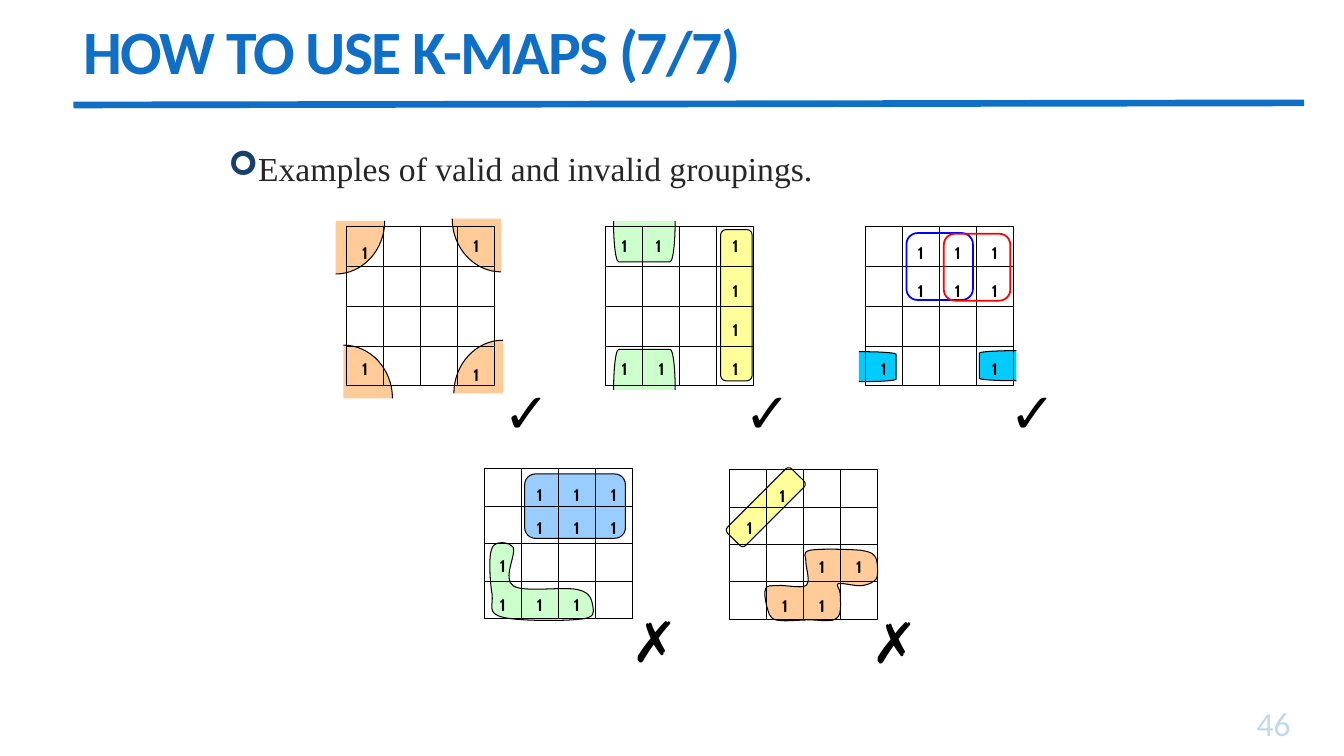
import copy
from lxml import etree
from pptx import Presentation
from pptx import util as u
from pptx.dml.color import RGBColor
from pptx.enum import shapes, text
from pptx.oxml import ns

SHAPE = shapes.MSO_SHAPE
MAP_W = 105.8

L_BLOB = [(68.4, 107.3),
          (57.6, 108.7), (23, 108.7), (13, 105.8),
          (2.2, 103), (6.5, 97.9), (5.8, 90),
          (4.3, 81.4), (2.9, 61.9), (5.8, 56.2),
          (7.9, 51.1), (18, 51.8), (20.9, 56.2),
          (23, 61.2), (13, 78.5), (20.9, 83.5),
          (28.8, 88.6), (58.3, 83.5), (67.7, 86.4),
          (77, 88.6), (77, 95), (77.8, 98.6),
          (78.5, 102.2), (79.2, 106.6), (68.4, 107.3)]
S_BLOB = [(94.3, 57.6),
          (86.4, 56.9), (64.1, 56.2), (57.6, 57.6),
          (51.1, 59), (55.4, 62.6), (54.7, 66.2),
          (54.7, 70.6), (58.3, 79.9), (54.7, 82.8),
          (51.1, 85), (38.9, 82.1), (34.6, 82.8),
          (29.5, 82.8), (26.6, 82.8), (25.9, 85),
          (24.5, 87.8), (25.9, 93.6), (26.6, 97.2),
          (28.1, 101.5), (28.1, 105.8), (33.1, 107.3),
          (38.2, 108.7), (49.7, 107.3), (57.6, 107.3),
          (64.8, 107.3), (73.4, 109.4), (77, 105.8),
          (80.6, 103), (79.2, 92.9), (79.2, 88.6),
          (79.2, 85), (75.6, 82.1), (77.8, 81.4),
          (80.6, 80.6), (90.7, 83.5), (95, 82.8),
          (99.4, 82.1), (103, 80.6), (105.1, 77.8),
          (106.6, 74.2), (105.8, 67), (105.1, 64.1),
          (103.7, 60.5), (102.2, 59), (94.3, 57.6)]


def rgb(value):
    """Turn a hex string into a colour."""
    return RGBColor.from_string(value)


def sub(parent, tag, **attrs):
    """Add an XML child with the given attributes."""
    return etree.SubElement(parent, ns.qn(tag), attrs)


def paint(sp, fill=None, line="000000", width=0.75):
    """Set fill and outline, where no fill leaves the shape open."""
    sp.shadow.inherit = False
    if fill:
        sp.fill.solid()
        sp.fill.fore_color.rgb = rgb(fill)
    else:
        sp.fill.background()
    sp.line.color.rgb = rgb(line)
    sp.line.width = u.Pt(width)


def preset(s, kind, x, y, w, h, adj=None, rot=0, **style):
    """Place a painted preset shape."""
    sp = s.shapes.add_shape(kind, u.Pt(x), u.Pt(y), u.Pt(w), u.Pt(h))
    if adj is not None:
        sp.adjustments[0] = adj
    sp.rotation = rot
    paint(sp, **style)


def curved(s, x, y, knots, fill):
    """Place a closed outline of cubic curves and return its path element."""
    pts = [(u.Pt(x + kx), u.Pt(y + ky)) for kx, ky in knots]
    fb = s.shapes.build_freeform(*pts[0])
    fb.add_line_segments(pts[1:], close=True)
    sp = fb.convert_to_shape()
    paint(sp, fill)
    outline = sp._element.find(".//" + ns.qn("a:path"))
    lines = outline.findall(ns.qn("a:lnTo"))
    for i in range(0, len(lines) - 2, 3):
        curve = etree.Element(ns.qn("a:cubicBezTo"))
        lines[i].addprevious(curve)
        for ln in lines[i:i + 3]:
            curve.append(ln[0])
            outline.remove(ln)
    return outline


def quarter(s, x, y, w, h):
    """Place a filled quarter disc with only its arc drawn, its corner at x, y."""
    knots = [(0, h), (0.55 * w, h), (w, 0.55 * h), (w, 0), (0, 0)]
    wedge = curved(s, x, y, knots, "FFCC99")
    arc = copy.deepcopy(wedge)
    for tag in ("a:lnTo", "a:close"):
        arc.remove(arc.find(ns.qn(tag)))
    arc.set("fill", "none")
    wedge.set("stroke", "0")
    wedge.addprevious(arc)


def line(s, x1, y1, x2, y2, color="000000", width=0.75):
    """Draw a straight line."""
    c = s.shapes.add_connector(shapes.MSO_CONNECTOR.STRAIGHT,
                               u.Pt(x1), u.Pt(y1), u.Pt(x2), u.Pt(y2))
    c.line.color.rgb = rgb(color)
    c.line.width = u.Pt(width)
    sub(c._element.spPr, "a:effectLst")


def label(s, x, y, w, h, words, size, font, color="000000", bold=False,
          align="LEFT", anchor="TOP"):
    """Place one line of text and return its paragraph and run."""
    tf = s.shapes.add_textbox(u.Pt(x), u.Pt(y), u.Pt(w), u.Pt(h)).text_frame
    tf.word_wrap = True
    tf.vertical_anchor = text.MSO_ANCHOR[anchor]
    p = tf.paragraphs[0]
    p.alignment = text.PP_ALIGN[align]
    r = p.add_run()
    r.text = words
    r.font.size, r.font.name, r.font.bold = u.Pt(size), font, bold
    r.font.color.rgb = rgb(color)
    return p, r


def header(s, x, y, w, h):
    """Place the title and the rule under it."""
    line(s, x, y + 69, x + 879, y + 67.5, "0F6FC6", 4.75)
    p, r = label(s, x, y, w, h, "HOW TO USE K-MAPS (7/7)", 44, "Calibri", "0F6FC6",
                 True, anchor="MIDDLE")
    p.line_spacing = 0.85
    r._r.get_or_add_rPr().set("spc", "-120")


def bullet(s, x, y, w, h):
    """Place the bulleted statement."""
    p, r = label(s, x, y, w, h, "Examples of valid and invalid groupings.", 24,
                 "Times New Roman", "262626")
    pPr = p._p.get_or_add_pPr()
    pPr.set("marL", str(u.Pt(20)))
    pPr.set("indent", str(-u.Pt(20)))
    sub(sub(pPr, "a:buClr"), "a:srgbClr", val="17406D")
    sub(pPr, "a:buFont", typeface="Wingdings")
    sub(pPr, "a:buChar", char="➢")


def page_number(s, x, y, w, h):
    """Place the faint slide number."""
    p, r = label(s, x, y, w, h, "46", 24, "Calibri", "0F6FC6", align="RIGHT",
                 anchor="BOTTOM")
    sub(r._r.rPr.find(".//" + ns.qn("a:srgbClr")), "a:alpha", val="25000")


def kmap(s, x, y, h, ones, mark, mark_x, mark_y):
    """Draw a four by four map, its ones as (top, columns), and its verdict."""
    preset(s, SHAPE.RECTANGLE, x, y, MAP_W, h)
    for i in (1, 2, 3):
        line(s, x, y + i * h / 4, x + MAP_W, y + i * h / 4)
        line(s, x + i * MAP_W / 4, y, x + i * MAP_W / 4, y + h)
    for top, cols in ones:
        for col in cols:
            label(s, x + col * MAP_W / 4, y + top, MAP_W / 4, 22, "1", 12, "Cabin",
                  bold=True, align="CENTER")
    label(s, x + mark_x, y + mark_y, 40, 55.5, mark, 40, "Arial")


def corners_map(s, x, y, h):
    """Draw the valid map that groups its four corners."""
    for cx, cy, w, tall in ((111.7, 119, -35, -38), (-2.2, 122.5, 35, -38),
                            (-7.7, -4.3, 35, 38), (110.5, -5.8, -35, 38)):
        quarter(s, x + cx, y + cy, w, tall)
    kmap(s, x, y, h, [(8, [0]), (3, [3]), (91, [0]), (95, [3])], "✓", 105.3, 104)


def column_map(s, x, y, h):
    """Draw the valid map with a full column and a wrapped pair of rows."""
    preset(s, SHAPE.ROUNDED_RECTANGLE, x + 82, y + 2, 22.5, 108, 0.167, fill="FFFF99")
    for top, rot in ((80, 90), (-11.5, 270)):
        preset(s, SHAPE.LEFT_BRACKET, x + 13, y + top, 29, 44, 0.125, rot, fill="CCFFCC")
    kmap(s, x, y, h, [(3, [0, 0.92, 3]), (35.3, [3]), (62.5, [3]), (91, [0, 1, 3])],
         "✓", 92, 104)


def overlap_map(s, x, y, h):
    """Draw the valid map with overlapping squares and a wrapped pair."""
    for kind, left, top in ((SHAPE.LEFT_BRACKET, 81.5, 88.5),
                            (SHAPE.RIGHT_BRACKET, -4.5, 89.2)):
        preset(s, kind, x + left, y + top, 26.5, 21.5, 0.083, fill="00CCFF")
    kmap(s, x, y, h, [(8, [1, 2, 3]), (35.3, [1, 2, 3]), (91, [0, 3])], "✓", 96, 104)
    for left, top, color in ((29.5, 4.5, "0000FF"), (56.2, 5, "FF0000")):
        preset(s, SHAPE.ROUNDED_RECTANGLE, x + left, y + top, 47.5, 47.8, 0.167,
               line=color, width=1.25)


def six_map(s, x, y, h):
    """Draw the invalid map with a group of six and an L group."""
    curved(s, x, y, L_BLOB, "CCFFCC")
    preset(s, SHAPE.ROUNDED_RECTANGLE, x + 29, y + 3.5, 72, 46, 0.167, fill="99CCFF")
    kmap(s, x, y, h, [(8, [1, 2, 3]), (31, [1, 2, 3]), (58.5, [0]), (86.2, [0, 1, 2])],
         "✗", 98, 95)


def diagonal_map(s, x, y, h):
    """Draw the invalid map with a diagonal and a staggered group."""
    curved(s, x, y, S_BLOB, "FFCC99")
    preset(s, SHAPE.ROUNDED_RECTANGLE, x - 6.5, y + 17.5, 65, 18.5, 0.167, 315,
           fill="FFFF99")
    kmap(s, x, y, h, [(8, [0.93]), (31, [0.05]), (58.5, [2, 3]), (86.2, [1, 2])],
         "✗", 94.5, 95)


def main():
    """Build the slide and save it."""
    prs = Presentation()
    prs.slide_width, prs.slide_height = u.Pt(960), u.Pt(540)
    s = prs.slides.add_slide(prs.slide_layouts[6])
    header(s, 52.5, 6, 848, 67.5)
    bullet(s, 156, 102, 648, 381)
    valid, invalid = s.shapes.add_group_shape(), s.shapes.add_group_shape()
    column_map(valid, 432.8, 162, 113.6)
    overlap_map(valid, 618, 162, 113.6)
    corners_map(valid, 247.5, 162, 113.6)
    six_map(invalid, 345.8, 335, 106.8)
    diagonal_map(invalid, 521, 335.5, 106.8)
    page_number(s, 835, 504.5, 94, 30)
    prs.save("out.pptx")


if __name__ == "__main__":
    main()
